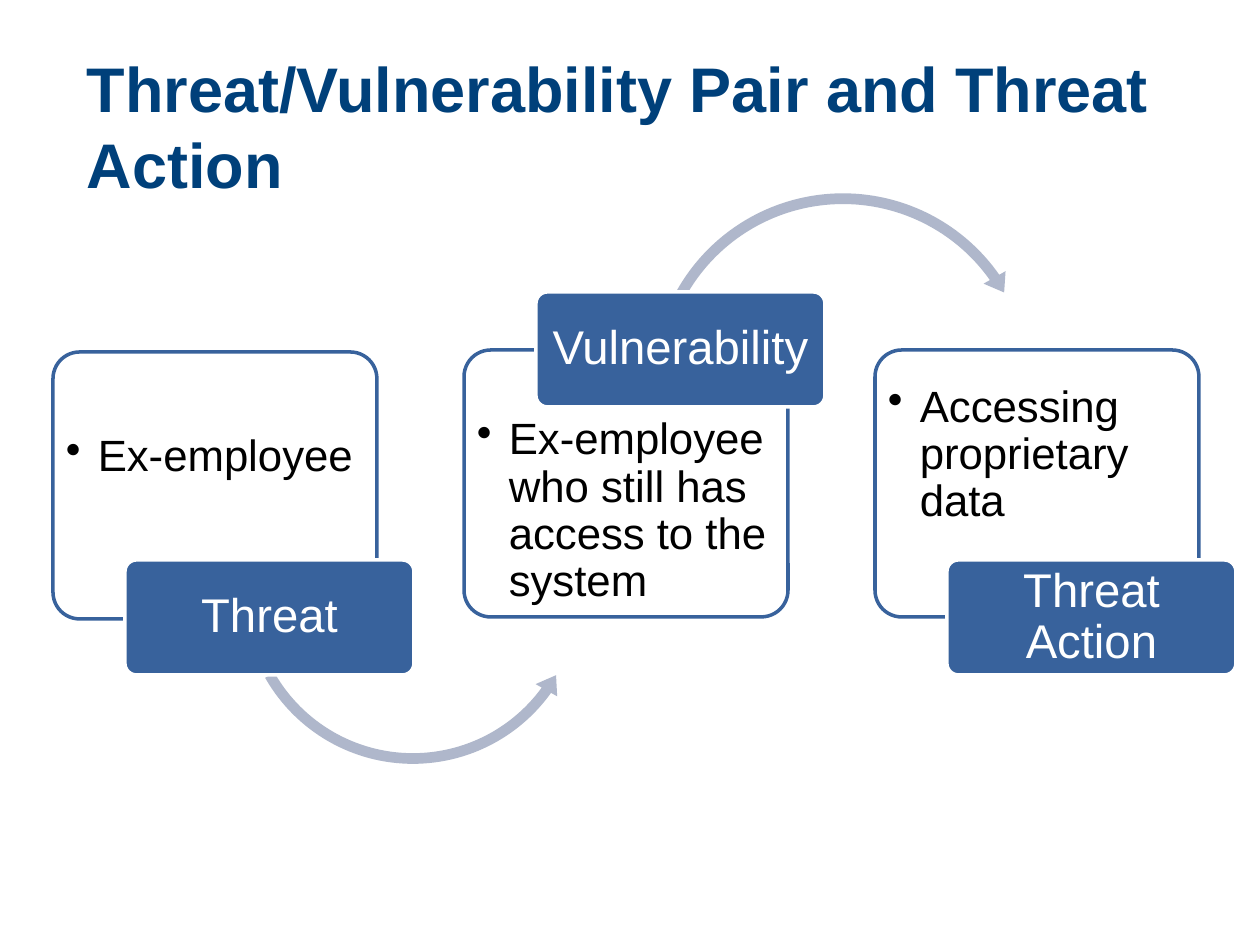
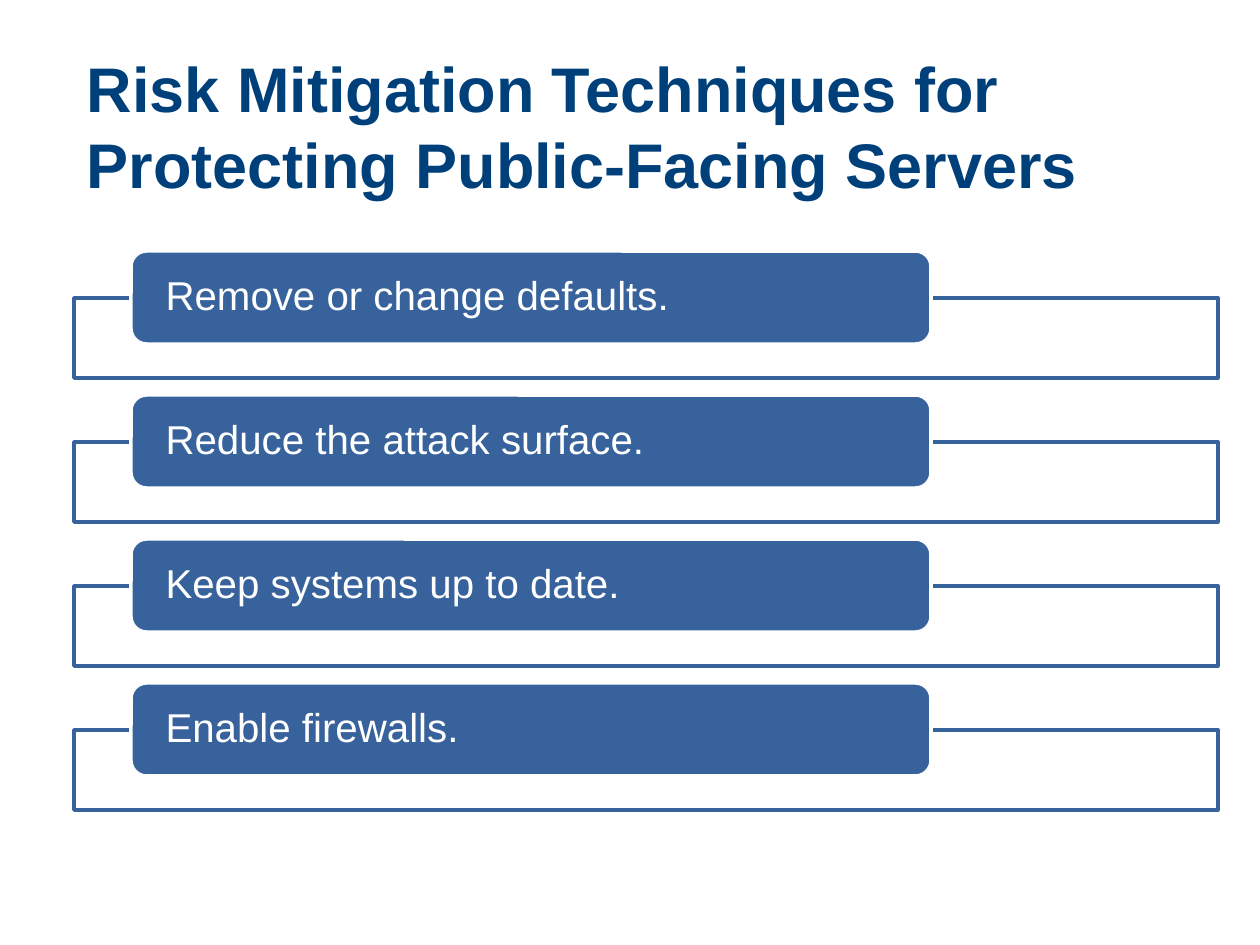
from dataclasses import dataclass

from lxml.etree import SubElement
from pptx import Presentation
from pptx.dml.color import RGBColor
from pptx.enum.shapes import MSO_SHAPE
from pptx.enum.text import MSO_ANCHOR, PP_ALIGN
from pptx.oxml.ns import qn
from pptx.util import Emu, Pt

PIXELS_PER_INCH = 126


@dataclass(frozen=True)
class Theme:
    font: str = "Arial"
    title: str = "00407A"
    accent: str = "38629C"
    arrow: str = "AFB7CB"
    white: str = "FFFFFF"
    black: str = "000000"
    title_size: int = 36
    label_size: int = 27
    bullet_size: int = 25
    bar_size: int = 23
    line_width: int = 2


THEME = Theme()


def px(length):
    return Emu(round(length * 914400 / PIXELS_PER_INCH))


def write_text(box, text, *, size, color, bold=False, align=PP_ALIGN.LEFT,
               anchor=MSO_ANCHOR.MIDDLE, insets=(0, 0, 0, 0),
               line_spacing=0.9, bullet_indent=0):
    frame = box.text_frame
    frame.word_wrap = True
    frame.vertical_anchor = anchor
    frame.margin_left, frame.margin_top, frame.margin_right, frame.margin_bottom = map(px, insets)
    para = frame.paragraphs[0]
    para.alignment = align
    para.line_spacing = line_spacing
    if bullet_indent:
        properties = para._p.get_or_add_pPr()
        properties.set("marL", str(px(bullet_indent)))
        properties.set("indent", str(-px(bullet_indent)))
        SubElement(properties, qn("a:buChar"), char="•")
    span = para.add_run()
    span.text = text
    span.font.name = THEME.font
    span.font.size = Pt(size)
    span.font.bold = bold
    span.font.color.rgb = RGBColor.from_string(color)


def add_block(page, kind, bounds, fill, line=None, adjustments=(), opacity=None):
    block = page.shapes.add_shape(kind, *map(px, bounds))
    block.shadow.inherit = False
    block.fill.solid()
    block.fill.fore_color.rgb = RGBColor.from_string(fill)
    if opacity:
        color = block._element.spPr.find(qn("a:solidFill")).find(qn("a:srgbClr"))
        SubElement(color, qn("a:alpha"), val=str(opacity * 1000))
    if line:
        block.line.color.rgb = RGBColor.from_string(line)
        block.line.width = Pt(THEME.line_width)
    else:
        block.line.fill.background()
    for index, value in enumerate(adjustments):
        block.adjustments[index] = value
    return block


def add_page(deck, title):
    page = deck.slides.add_slide(deck.slide_layouts[6])
    box = page.shapes.add_textbox(*map(px, (74, 42, 1144, 136)))
    write_text(box, title, size=THEME.title_size, color=THEME.title, bold=True,
               anchor=MSO_ANCHOR.TOP, insets=(13, 8, 13, 6), line_spacing=1.0)
    return page


def add_outline(page, kind, bounds, adjustments=()):
    return add_block(page, kind, bounds, THEME.white, THEME.accent, adjustments, opacity=90)


def add_card(page, left, top, text, label_on_top):
    card = add_outline(page, MSO_SHAPE.ROUNDED_RECTANGLE, (left, top, 324, 267), (0.1,))
    insets = (5, 61, 5, 5) if label_on_top else (5, 5, 5, 61)
    write_text(card, text, size=THEME.bullet_size, color=THEME.black,
               insets=insets, bullet_indent=32)


def add_label(page, left, top, text):
    label = add_block(page, MSO_SHAPE.ROUNDED_RECTANGLE, (left, top, 289, 115),
                      THEME.accent, THEME.white, (0.1,))
    write_text(label, text, size=THEME.label_size, color=THEME.white,
               align=PP_ALIGN.CENTER, insets=(8, 5, 8, 5))


def add_technique(page, top, text):
    add_outline(page, MSO_SHAPE.RECTANGLE, (74, top + 47, 1144, 80))
    bar = add_block(page, MSO_SHAPE.ROUNDED_RECTANGLE, (131, top, 800, 93),
                    THEME.accent, THEME.white)
    write_text(bar, text, size=THEME.bar_size, color=THEME.white, insets=(30, 0, 30, 0))


def build_threat_page(deck):
    page = add_page(deck, "Threat/Vulnerability Pair and Threat Action")
    lower_arrow = (MSO_SHAPE.LEFT_CIRCULAR_ARROW, (236, 417, 354, 354),
                   (0.03, 3.729, 21.484, 90.245, 0.035))
    upper_arrow = (MSO_SHAPE.CIRCULAR_ARROW, (645, 186, 396, 396),
                   (0.027, 3.313, 194.932, 125.755, 0.032))
    steps = [
        ("Threat", "Ex-employee", 352, False, lower_arrow),
        ("Vulnerability", "Ex-employee who still has access to the system", 350, True, upper_arrow),
        ("Threat Action", "Accessing proprietary data", 350, False, None),
    ]
    for index, (label, text, top, label_on_top, arrow) in enumerate(steps):
        left = 53 + index * 411
        add_card(page, left, top, text, label_on_top)
        if arrow:
            kind, bounds, adjustments = arrow
            add_block(page, kind, bounds, THEME.arrow, adjustments=adjustments)
        add_label(page, left + 72, 292 if label_on_top else 560, label)


def build_techniques_page(deck):
    page = add_page(deck, "Risk Mitigation Techniques for Protecting Public-Facing Servers")
    techniques = ["Remove or change defaults.", "Reduce the attack surface.",
                  "Keep systems up to date.", "Enable firewalls."]
    for index, technique in enumerate(techniques):
        add_technique(page, 251 + index * 144, technique)


def main():
    deck = Presentation()
    deck.slide_width, deck.slide_height = px(1260), px(945)
    build_threat_page(deck)
    build_techniques_page(deck)
    deck.save("out.pptx")


if __name__ == "__main__":
    main()
